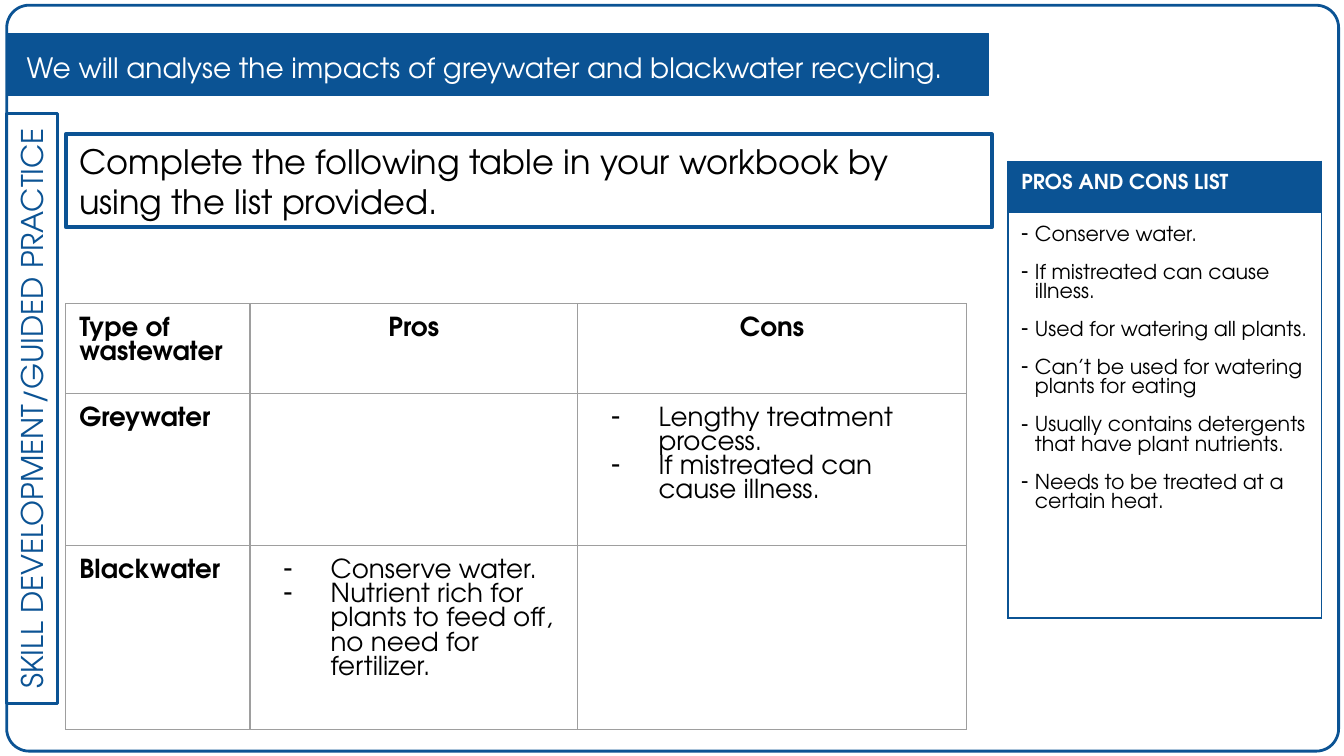
from pptx import Presentation
from pptx.dml.color import RGBColor
from pptx.enum.shapes import MSO_SHAPE as Shape
from pptx.enum.text import MSO_ANCHOR as Anchor, PP_ALIGN as Align
from pptx.oxml import parse_xml
from pptx.oxml.ns import nsdecls
from pptx.util import Pt

BLUE = RGBColor(0x0B, 0x53, 0x94)
GREY = RGBColor(0x9E, 0x9E, 0x9E)
WHITE = RGBColor(0xFF, 0xFF, 0xFF)
BLACK = RGBColor(0, 0, 0)
FONT = "TeX Gyre Adventor"
INSET = 7.2

PROS_AND_CONS = [
    "Conserve water.",
    "If mistreated can cause illness.",
    "Used for watering all plants.",
    "Can’t be used for watering plants for eating",
    "Usually contains detergents that have plant nutrients.",
    "Needs to be treated at a certain heat.",
]
WASTEWATER = [
    ["Type of wastewater", "Pros", "Cons"],
    ["Greywater", [], ["Lengthy treatment process.", "If mistreated can cause illness."]],
    ["Blackwater", ["Conserve water.",
                    "Nutrient rich for plants to feed off, no need for fertilizer."], []],
]


def set_insets(target):
    """Give a text frame or cell the same margin on every side."""
    target.margin_left = target.margin_right = Pt(INSET)
    target.margin_top = target.margin_bottom = Pt(INSET)


def add_span(para, text, size, color, bold=False):
    """Add one styled run to a paragraph."""
    span = para.add_run()
    span.text = text
    span.font.name = FONT
    span.font.size = Pt(size)
    span.font.bold = bold
    span.font.color.rgb = color


def add_panel(page, box, kind=Shape.RECTANGLE, fill=None, line_width=1.5):
    """Add a blue-outlined shape in the given box."""
    panel = page.shapes.add_shape(kind, *map(Pt, box))
    panel.shadow.inherit = False
    if fill is None:
        panel.fill.background()
    else:
        panel.fill.solid()
        panel.fill.fore_color.rgb = fill
    panel.line.color.rgb = BLUE
    panel.line.width = Pt(line_width)
    return panel


def write_line(shape, text, size, color, align=Align.LEFT):
    """Write one vertically centred paragraph in a shape."""
    frame = shape.text_frame
    frame.word_wrap = True
    frame.vertical_anchor = Anchor.MIDDLE
    set_insets(frame)
    para = frame.paragraphs[0]
    para.alignment = align
    add_span(para, text, size, color)
    return para


def add_dash(para, margin, hanging):
    """Turn a paragraph into a dashed list item."""
    props = para._p.get_or_add_pPr()
    props.set("marL", str(Pt(margin)))
    props.set("indent", str(-Pt(hanging)))
    props.append(parse_xml(
        f'<a:buClr {nsdecls("a")}><a:srgbClr val="{BLACK}"/></a:buClr>'))
    props.append(parse_xml(f'<a:buChar {nsdecls("a")} char="-"/>'))


def write_list(cell, items, size, margin, hanging, gap=0):
    """Fill a cell with dashed items separated by a gap."""
    frame = cell.text_frame
    for index, item in enumerate(items):
        para = frame.add_paragraph() if index else frame.paragraphs[0]
        add_dash(para, margin, hanging)
        if index and gap:
            para.space_before = Pt(gap)
        add_span(para, item, size, BLACK)


def set_borders(cell, color):
    """Draw a thin line on all four sides of a cell."""
    props = cell._tc.get_or_add_tcPr()
    for index, side in enumerate(("lnL", "lnR", "lnT", "lnB")):
        props.insert(index, parse_xml(
            f'<a:{side} {nsdecls("a")} w="{Pt(0.75)}"><a:solidFill>'
            f'<a:srgbClr val="{color}"/></a:solidFill></a:{side}>'))


def add_grid(page, left, top, widths, heights, color):
    """Add an unfilled table with the given column widths and row heights."""
    table = page.shapes.add_table(
        len(heights), len(widths), Pt(left), Pt(top),
        Pt(sum(widths)), Pt(sum(heights))).table
    table.first_row = table.horz_banding = False
    for column, width in zip(table.columns, widths):
        column.width = Pt(width)
    for row, height in zip(table.rows, heights):
        row.height = Pt(height)
    for cell in table.iter_cells():
        set_insets(cell)
        cell.fill.background()
        set_borders(cell, color)
    return table


def add_frame(page, box):
    """Add the page outline, the side label and the title bar."""
    left, top, width, height = box
    outline = add_panel(page, box, Shape.ROUNDED_RECTANGLE)
    outline.adjustments[0] = 0.03
    label_width, label_height = 316, 27.4
    center_x, center_y = left + 13.4, top + 216
    label = add_panel(page, (center_x - label_width / 2, center_y - label_height / 2,
                             label_width, label_height))
    label.rotation = 270
    write_line(label, "SKILL DEVELOPMENT/GUIDED PRACTICE", 16, BLUE, Align.CENTER)
    add_panel(page, (left, top + 15.2, 526, 33.2), fill=BLUE, line_width=0.75)
    title = page.shapes.add_textbox(
        Pt(left + 3.6), Pt(top + 18), Pt(519), Pt(27.4))
    para = write_line(
        title, "We will analyse the impacts of greywater and blackwater recycling.",
        15, WHITE)
    para.line_spacing = 1.15


def add_task(page, box):
    """Add the outlined instruction."""
    task = add_panel(page, box, line_width=2.25)
    write_line(task, "Complete the following table in your workbook by using the list provided.",
               18, BLACK)


def add_choices(page, box):
    """Add the list of pros and cons under its heading."""
    left, top, width, height = box
    heading = 26
    table = add_grid(page, left, top, [width], [heading, height - heading], BLUE)
    header, body = table.iter_cells()
    header.fill.solid()
    header.fill.fore_color.rgb = BLUE
    add_span(header.text_frame.paragraphs[0], "PROS AND CONS LIST", 11, WHITE, True)
    write_list(body, PROS_AND_CONS, 11, 7.2, 12.2, 10)
    body.text_frame.paragraphs[-1].space_after = Pt(10)


def add_wastewater(page, box):
    """Add the table of wastewater types."""
    left, top, width, height = box
    widths = [98.6, 175.7, width - 274.3]
    heights = [40.2, 66.4, height - 106.6]
    table = add_grid(page, left, top, widths, heights, GREY)
    for row, contents in enumerate(WASTEWATER):
        for column, content in enumerate(contents):
            cell = table.cell(row, column)
            if isinstance(content, list):
                write_list(cell, content, 14, 36, 25.2)
            else:
                para = cell.text_frame.paragraphs[0]
                para.alignment = Align.CENTER if column else Align.LEFT
                add_span(para, content, 14, BLACK, True)


def main():
    """Build the slide and save the deck."""
    deck = Presentation()
    deck.slide_width, deck.slide_height = Pt(720), Pt(405)
    page = deck.slides.add_slide(deck.slide_layouts[6])
    add_frame(page, (3.6, 2.8, 713.5, 399.6))
    add_task(page, (35.3, 72, 496, 49.7))
    add_choices(page, (540, 86.4, 168, 243))
    add_wastewater(page, (35.3, 162.7, 482.4, 185.9))
    deck.save("out.pptx")


if __name__ == "__main__":
    main()
